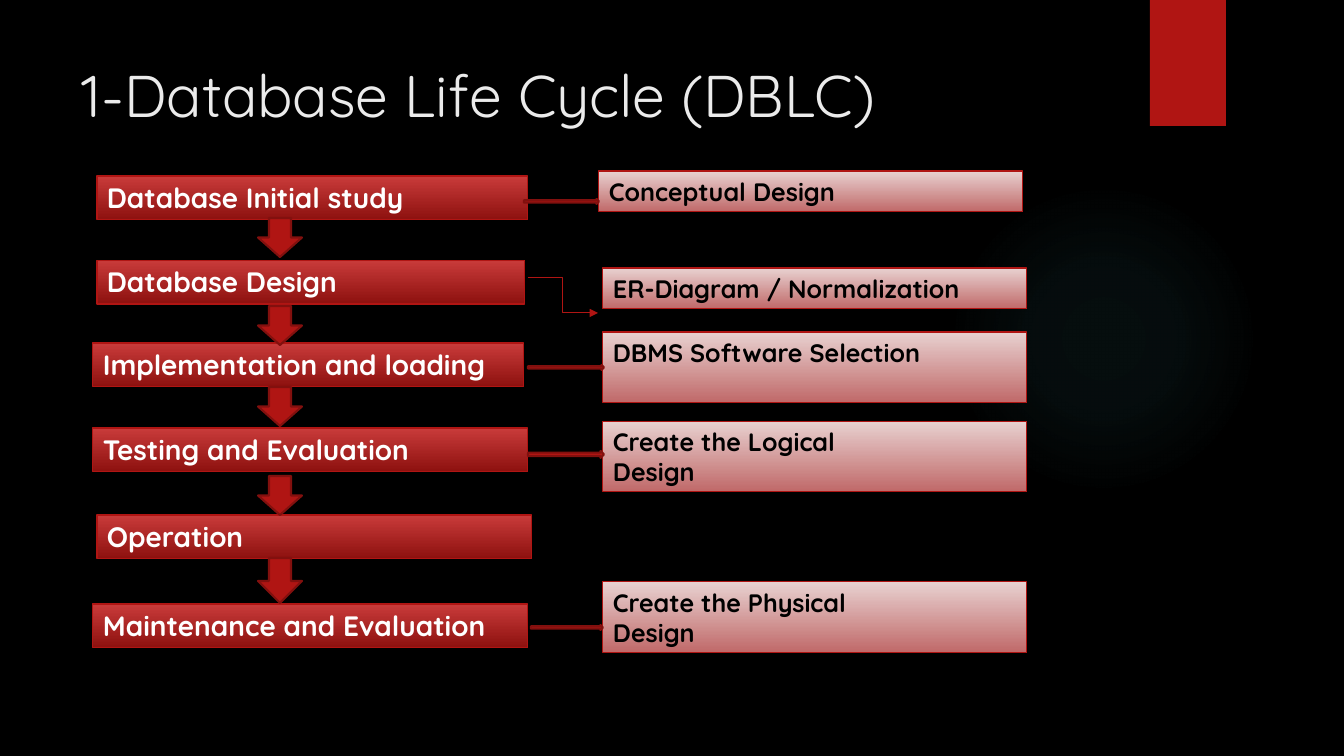
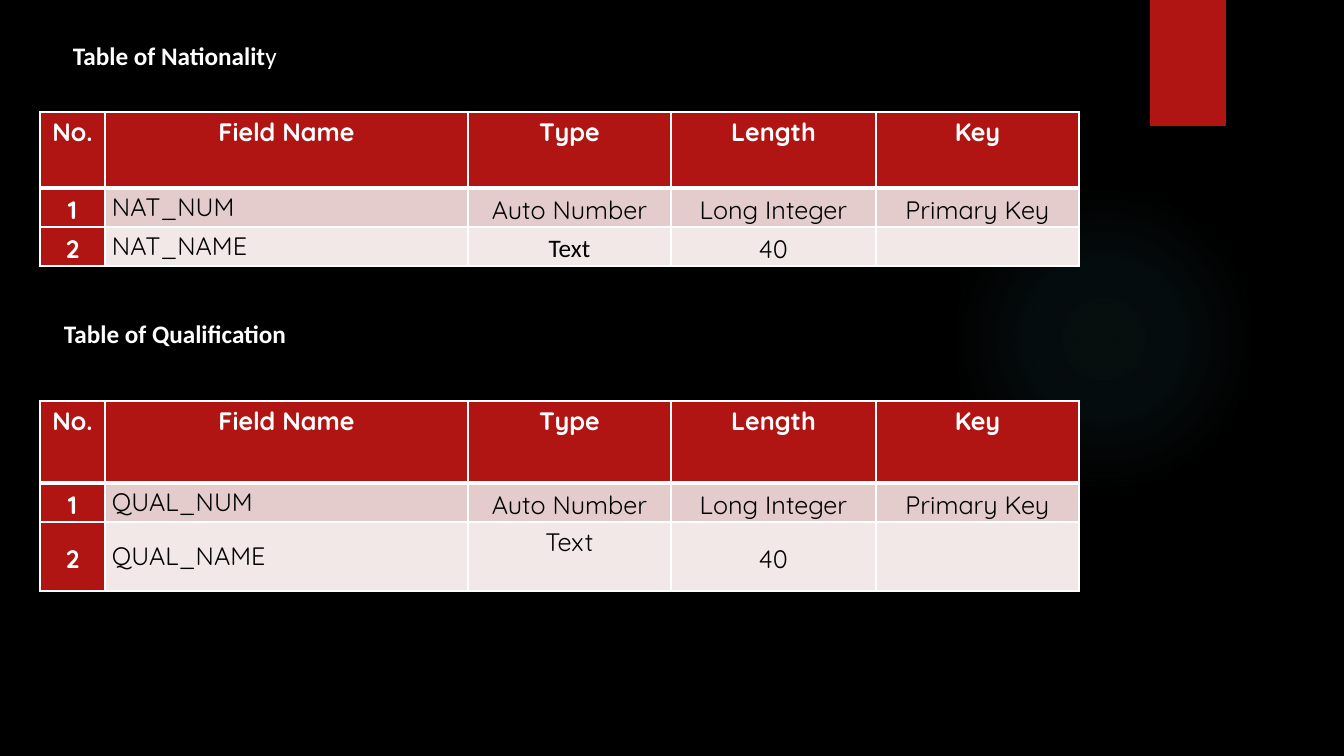
from dataclasses import dataclass

from lxml import etree
from pptx import Presentation
from pptx.dml.color import RGBColor
from pptx.enum.shapes import MSO_CONNECTOR as Connector, MSO_SHAPE as Preset
from pptx.enum.text import MSO_ANCHOR as Anchor, PP_ALIGN as Align
from pptx.oxml import parse_xml
from pptx.oxml.ns import nsdecls, qn
from pptx.util import Emu, Pt

SLIDE_WIDTH, SLIDE_HEIGHT = 1344, 756
EMU_PER_PX = 12192000 / SLIDE_WIDTH


@dataclass(frozen=True)
class Theme:
    background: str = "000000"
    accent: str = "B01513"
    accent_dark: str = "82100E"
    stage: tuple = ("C93B3A", "8D110F")
    detail: tuple = ("E8D1D0", "C06969")
    bands: tuple = ("E4CCCC", "F2E8E7")
    glow: str = "50B9C1"
    glow_stops: tuple = ((0, 7), (36, 6), (69, 0))
    title: str = "EBEBEB"
    light: str = "FFFFFF"
    dark: str = "000000"
    font: str = "Quicksand"
    caption_font: str = "Calibri"
    title_size: int = 42
    stage_size: int = 20
    body_size: int = 18
    thin: float = 0.75
    outline: float = 1.5
    cell_line: int = 1
    header_line: int = 3


THEME = Theme()


def px(length):
    return Emu(round(length * EMU_PER_PX))


def rgb(color):
    return RGBColor.from_string(color)


def write(frame, text, *, font=THEME.font, size=THEME.body_size, color=THEME.light,
          bold=False, plain_tail="", align=Align.LEFT, spacing=None):
    for index, line in enumerate(text.split("\n")):
        paragraph = frame.add_paragraph() if index else frame.paragraphs[0]
        paragraph.alignment = align
        if spacing:
            paragraph.line_spacing = spacing
        for part, is_bold in ((line, bold), (plain_tail, False)):
            if part:
                run = paragraph.add_run()
                run.text = part
                run.font.name = font
                run.font.size = Pt(size)
                run.font.bold = is_bold
                run.font.color.rgb = rgb(color)


class Deck:
    def __init__(self, theme):
        self.theme = theme
        self.presentation = Presentation()
        self.presentation.slide_width = px(SLIDE_WIDTH)
        self.presentation.slide_height = px(SLIDE_HEIGHT)
        self.slide = None

    def new_slide(self):
        layout = self.presentation.slide_layouts[6]
        self.slide = self.presentation.slides.add_slide(layout)
        fill = self.slide.background.fill
        fill.solid()
        fill.fore_color.rgb = rgb(self.theme.background)
        self.glow(949, 184, 310)
        self.shape(Preset.RECTANGLE, 1150, 0, 76, 126)

    def shape(self, preset, left, top, width, height, line=None, weight=0):
        shape = self.slide.shapes.add_shape(preset, px(left), px(top), px(width), px(height))
        shape.shadow.inherit = False
        shape.fill.solid()
        shape.fill.fore_color.rgb = rgb(self.theme.accent)
        if line:
            shape.line.color.rgb = rgb(line)
            shape.line.width = Pt(weight)
        else:
            shape.line.fill.background()
        return shape

    def glow(self, left, top, diameter):
        shape = self.shape(Preset.OVAL, left, top, diameter, diameter)
        stops = "".join(
            f'<a:gs pos="{position * 1000}"><a:srgbClr val="{self.theme.glow}">'
            f'<a:alpha val="{alpha * 1000}"/></a:srgbClr></a:gs>'
            for position, alpha in self.theme.glow_stops)
        gradient = parse_xml(
            f'<a:gradFill {nsdecls("a")}><a:gsLst>{stops}</a:gsLst><a:path path="circle">'
            '<a:fillToRect l="50000" t="50000" r="50000" b="50000"/></a:path></a:gradFill>')
        properties = shape._element.spPr
        properties.replace(properties.find(qn("a:solidFill")), gradient)

    def box(self, text, left, top, width, height, colors, **text_format):
        shape = self.shape(Preset.RECTANGLE, left, top, width, height,
                           self.theme.accent, self.theme.thin)
        shape.fill.gradient()
        shape.fill.gradient_angle = 270
        for stop, color in zip(shape.fill.gradient_stops, colors):
            stop.color.rgb = rgb(color)
        shape.text_frame.word_wrap = True
        shape.text_frame.vertical_anchor = Anchor.TOP
        write(shape.text_frame, text, bold=True, **text_format)

    def arrow(self, preset, left, top, width, height):
        self.shape(preset, left, top, width, height,
                   self.theme.accent_dark, self.theme.outline)

    def elbow(self, start, end):
        connector = self.slide.shapes.add_connector(
            Connector.ELBOW, *(px(value) for value in (*start, *end)))
        connector.line.color.rgb = rgb(self.theme.accent)
        connector.line.width = Pt(self.theme.thin)
        etree.SubElement(connector.line._get_or_add_ln(), qn("a:tailEnd"), type="triangle")
        etree.SubElement(connector._element.spPr, qn("a:effectLst"))

    def text(self, text, left, top, width, height, anchor=Anchor.TOP, **text_format):
        frame = self.slide.shapes.add_textbox(
            px(left), px(top), px(width), px(height)).text_frame
        frame.word_wrap = True
        frame.vertical_anchor = anchor
        write(frame, text, **text_format)

    def title(self, text):
        self.text(text, 72, 50, 1037, 88, Anchor.MIDDLE,
                  size=self.theme.title_size, color=self.theme.title)

    def caption(self, text, left, top, plain_tail=""):
        self.text(text, left, top, 250, 40, font=self.theme.caption_font,
                  bold=True, plain_tail=plain_tail)

    def table(self, top, rows, heights, widths, cell_formats):
        table = self.slide.shapes.add_table(
            len(rows), len(widths), px(40), px(top), px(sum(widths)), px(sum(heights))).table
        table.first_row = table.horz_banding = False
        for column, width in zip(table.columns, widths):
            column.width = px(width)
        for row, height in zip(table.rows, heights):
            row.height = px(height)
        for row_index, values in enumerate(rows):
            for column_index, value in enumerate(values):
                self.cell(table.cell(row_index, column_index), value, row_index,
                          column_index, **cell_formats.get((row_index, column_index), {}))

    def cell(self, cell, value, row, column, anchor=Anchor.MIDDLE, **text_format):
        theme = self.theme
        heading = row == 0 or column == 0
        cell.margin_left = cell.margin_right = px(7)
        cell.margin_top = cell.margin_bottom = 0
        cell.vertical_anchor = anchor if row else Anchor.TOP
        cell.fill.solid()
        cell.fill.fore_color.rgb = rgb(theme.accent if heading else theme.bands[row - 1])
        self.borders(cell, row)
        is_field = row > 0 and column == 1
        write(cell.text_frame, value, bold=heading,
              color=theme.light if heading else theme.dark,
              align=Align.LEFT if is_field else Align.CENTER,
              spacing=None if is_field else 1.15, **text_format)

    def borders(self, cell, row):
        thin, thick = self.theme.cell_line, self.theme.header_line
        weights = {"lnL": thin, "lnR": thin,
                   "lnT": thick if row == 1 else thin,
                   "lnB": thick if row == 0 else thin}
        properties = cell._tc.get_or_add_tcPr()
        for index, (side, weight) in enumerate(weights.items()):
            properties.insert(index, parse_xml(
                f'<a:{side} {nsdecls("a")} w="{Pt(weight)}"><a:solidFill>'
                f'<a:srgbClr val="{self.theme.light}"/></a:solidFill></a:{side}>'))


def build_life_cycle(deck):
    theme = deck.theme
    deck.new_slide()
    deck.title("1-Database Life Cycle (DBLC)")
    details = (
        ("Conceptual Design", 599, 171, 41),
        ("ER-Diagram / Normalization", 603, 268, 41),
        ("DBMS Software Selection", 603, 332, 71),
        ("Create the Logical\nDesign", 603, 421, 71),
        ("Create the Physical\nDesign", 603, 582, 71),
    )
    for text, left, top, height in details:
        deck.box(text, left, top, 424, height, theme.detail, color=theme.dark)
    stages = (
        ("Database Initial study", 97, 176, 431),
        ("Database Design", 97, 260, 428),
        ("Implementation and loading", 93, 343, 431),
        ("Testing and Evaluation", 93, 428, 435),
        ("Operation", 97, 515, 435),
        ("Maintenance and Evaluation", 93, 604, 435),
    )
    for text, left, top, width in stages:
        deck.box(text, left, top, width, 44, theme.stage, size=theme.stage_size)
    for top, height in ((218, 39), (306, 39), (387, 39), (476, 39), (558, 45)):
        deck.arrow(Preset.DOWN_ARROW, 258, top, 44, height)
    for left, top, width, height in (
            (524, 199, 75, 5), (528, 365, 76, 5), (528, 451, 76, 7), (531, 625, 72, 5)):
        deck.arrow(Preset.RIGHT_ARROW, left, top, width, height)
    deck.elbow((528, 278), (598, 313))


def build_tables(deck):
    deck.new_slide()
    widths = (65, 363, 203, 205, 203)
    header = ("No.", "Field Name", "Type", "Length", "Key")
    tables = (
        ("NAT", 112, (76, 39, 39), {"font": deck.theme.caption_font}),
        ("QUAL", 401, (82, 39, 69), {"anchor": Anchor.TOP}),
    )
    for prefix, top, heights, type_format in tables:
        rows = (
            header,
            ("1", f"{prefix}_NUM", "Auto Number", "Long Integer", "Primary Key"),
            ("2", f"{prefix}_NAME", "Text", "40", ""),
        )
        deck.table(top, rows, heights, widths, {(2, 2): type_format})
    deck.caption("Table of Nationalit", 63, 35, plain_tail="y")
    deck.caption("Table of Qualification", 54, 313)


def main():
    deck = Deck(THEME)
    build_life_cycle(deck)
    build_tables(deck)
    deck.presentation.save("out.pptx")


if __name__ == "__main__":
    main()
